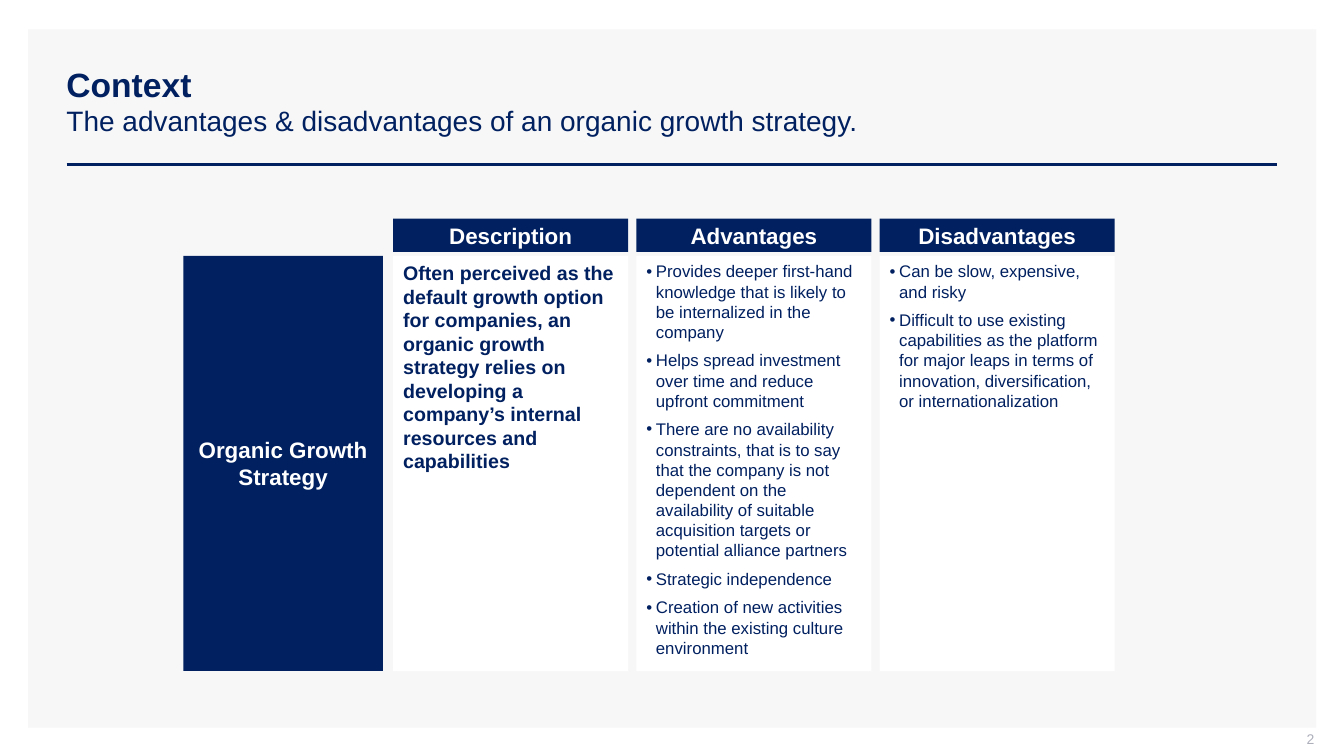
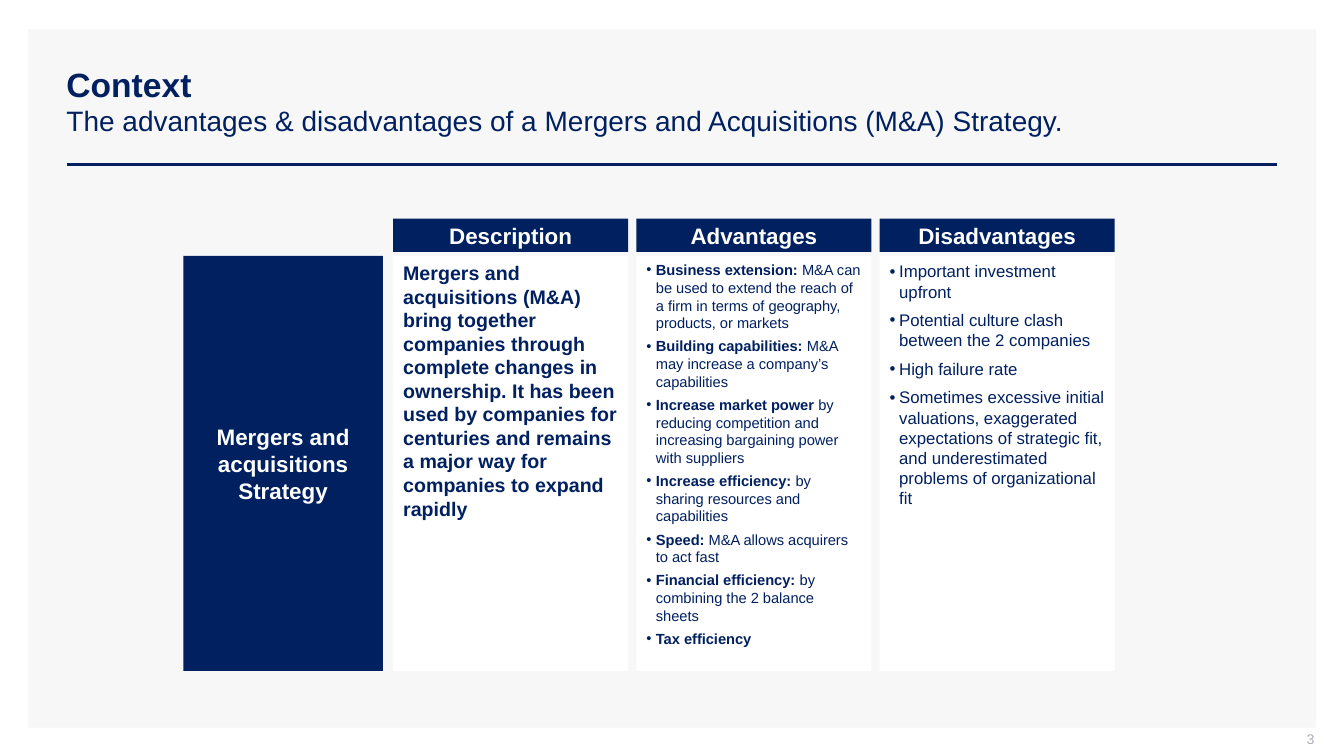
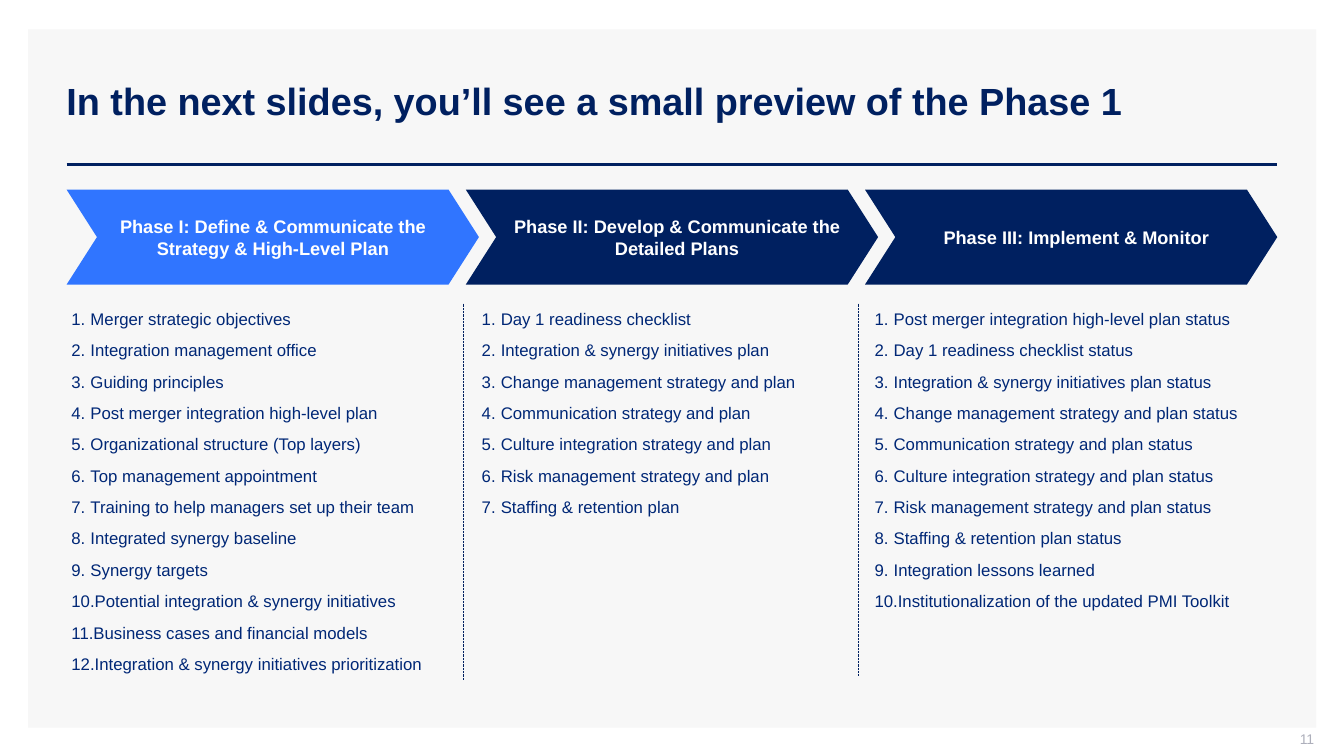
from dataclasses import dataclass

from lxml import etree
from pptx import Presentation
from pptx import util as u
from pptx.dml import color
from pptx.enum import dml, shapes, text
from pptx.oxml import ns

Cm, Pt = u.Cm, u.Pt
RGB = color.RGBColor.from_string


@dataclass(frozen=True)
class Theme:
    font: str = "Arial"
    navy: str = "002060"
    blue: str = "3075FF"
    list_blue: str = "002776"
    panel: str = "F7F7F7"
    white: str = "FFFFFF"
    grey: str = "ADAFBB"
    title: float = 24
    subtitle: float = 20
    long_title: float = 27
    heading: float = 16
    description: float = 14
    phase: float = 13
    body: float = 12
    dense: float = 10.5
    number: float = 10


THEME = Theme()

# Bullets are (bold lead, plain rest).
STRATEGIES = [
    {
        "number": "2",
        "subtitle": "The advantages & disadvantages of an organic growth strategy.",
        "label": "Organic Growth Strategy",
        "description": "Often perceived as the default growth option for companies, an organic "
                       "growth strategy relies on developing a company’s internal resources and "
                       "capabilities",
        "advantages": [
            ("", "Provides deeper first-hand knowledge that is likely to be internalized in the "
                 "company"),
            ("", "Helps spread investment over time and reduce upfront commitment"),
            ("", "There are no availability constraints, that is to say that the company is not "
                 "dependent on the availability of suitable acquisition targets or potential "
                 "alliance partners"),
            ("", "Strategic independence"),
            ("", "Creation of new activities within the existing culture environment"),
        ],
        "advantage_style": (THEME.body, 3),
        "disadvantages": [
            ("", "Can be slow, expensive, and risky"),
            ("", "Difficult to use existing capabilities as the platform for major leaps in terms "
                 "of innovation, diversification, or internationalization"),
        ],
    },
    {
        "number": "3",
        "subtitle": "The advantages & disadvantages of a Mergers and Acquisitions (M&A) Strategy.",
        "label": "Mergers and acquisitions Strategy",
        "description": "Mergers and acquisitions (M&A) bring together companies through complete "
                       "changes in ownership. It has been used by companies for centuries and "
                       "remains a major way for companies to expand rapidly",
        "advantages": [
            ("Business extension: ", "M&A can be used to extend the reach of a firm in terms of "
                                     "geography, products, or markets"),
            ("Building capabilities: ", "M&A may increase a company’s capabilities"),
            ("Increase market power ", "by reducing competition and increasing bargaining power "
                                       "with suppliers"),
            ("Increase efficiency: ", "by sharing resources and capabilities"),
            ("Speed: ", "M&A allows acquirers to act fast"),
            ("Financial efficiency: ", "by combining the 2 balance sheets"),
            ("Tax efficiency", ""),
        ],
        "advantage_style": (THEME.dense, 2),
        "disadvantages": [
            ("", "Important investment upfront"),
            ("", "Potential culture clash between the 2 companies"),
            ("", "High failure rate"),
            ("", "Sometimes excessive initial valuations, exaggerated expectations of strategic "
                 "fit, and underestimated problems of organizational fit"),
        ],
    },
]

PREVIEW_TITLE = "In the next slides, you’ll see a small preview of the Phase 1"
PHASES = [
    {
        "name": "Phase I: Define & Communicate the Strategy & High-Level Plan",
        "fill": THEME.blue, "insets": (0.2, 0.2), "list": (1.8, 9.88, 0),
        "steps": [
            "Merger strategic objectives",
            "Integration management office",
            "Guiding principles",
            "Post merger integration high-level plan",
            "Organizational structure (Top layers)",
            "Top management appointment",
            "Training to help managers set up their team",
            "Integrated synergy baseline",
            "Synergy targets",
            "Potential integration & synergy initiatives",
            "Business cases and financial models",
            "Integration & synergy initiatives prioritization",
        ],
    },
    {
        "name": "Phase II: Develop & Communicate the Detailed Plans",
        "fill": THEME.navy, "insets": (0.25, 0), "list": (11.89, 9.6, 0.25),
        "steps": [
            "Day 1 readiness checklist",
            "Integration & synergy initiatives plan",
            "Change management strategy and plan",
            "Communication strategy and plan",
            "Culture integration strategy and plan",
            "Risk management strategy and plan",
            "Staffing & retention plan",
        ],
    },
    {
        "name": "Phase III: Implement & Monitor",
        "fill": THEME.navy, "insets": (0.25, 0), "list": (21.79, 10.39, 0.25),
        "steps": [
            "Post merger integration high-level plan status",
            "Day 1 readiness checklist status",
            "Integration & synergy initiatives plan status",
            "Change management strategy and plan status",
            "Communication strategy and plan status",
            "Culture integration strategy and plan status",
            "Risk management strategy and plan status",
            "Staffing & retention plan status",
            "Integration lessons learned",
            "Institutionalization of the updated PMI Toolkit",
        ],
    },
]
DIVIDERS = [(11.68, 17.15), (21.64, 17.04)]  # x, bottom


def place(shape, left, top, width, height):
    shape.left, shape.top = Cm(left), Cm(top)
    shape.width, shape.height = Cm(width), Cm(height)


def format_run(run, size, colour, bold=False):
    run.font.name, run.font.size, run.font.bold = THEME.font, Pt(size), bold
    run.font.color.rgb = RGB(colour)


def set_insets(frame, left=0.25, top=0.13, right=0.25, bottom=0.13):
    frame.margin_left, frame.margin_top = Cm(left), Cm(top)
    frame.margin_right, frame.margin_bottom = Cm(right), Cm(bottom)


def add_block(slide, kind, box, fill, label="", size=THEME.heading):
    """Add a filled preset shape with a centred white bold label."""
    shape = slide.shapes.add_shape(kind, *map(Cm, box))
    shape.shadow.inherit = False
    shape.fill.solid()
    shape.fill.fore_color.rgb = RGB(fill)
    shape.line.fill.background()
    if label:
        frame = shape.text_frame
        frame.text, frame.word_wrap = label, True
        frame.vertical_anchor = text.MSO_ANCHOR.MIDDLE
        set_insets(frame)
        frame.paragraphs[0].alignment = text.PP_ALIGN.CENTER
        format_run(frame.paragraphs[0].runs[0], size, THEME.white, True)
    return shape


def add_line(slide, ends, width):
    line = slide.shapes.add_connector(shapes.MSO_CONNECTOR.STRAIGHT, *map(Cm, ends))
    line.line.color.rgb = RGB(THEME.navy)
    line.line.width = Pt(width)
    etree.SubElement(line.element.spPr, ns.qn("a:effectLst"))
    return line


def set_marker(paragraph, marker, indent):
    """Give the paragraph a bullet, a number or no marker, with a hanging indent."""
    properties = paragraph._p.get_or_add_pPr()
    properties.set("marL", str(Cm(indent)))
    properties.set("indent", str(-Cm(indent)))
    if marker == "buChar":
        etree.SubElement(properties, ns.qn("a:buFont"), typeface=THEME.font)
    attributes = {"buChar": {"char": "•"}, "buAutoNum": {"type": "arabicPeriod"}, "buNone": {}}
    etree.SubElement(properties, ns.qn(f"a:{marker}"), attributes[marker])


def fill_body(body, items, size, gap=0, marker="buNone", indent=0, colour=THEME.navy):
    frame = body.text_frame
    frame.word_wrap, frame.auto_size = True, text.MSO_AUTO_SIZE.NONE
    frame.vertical_anchor = text.MSO_ANCHOR.TOP
    set_insets(frame)
    for index, (lead, rest) in enumerate(items):
        paragraph = frame.add_paragraph() if index else frame.paragraphs[0]
        set_marker(paragraph, marker, indent)
        paragraph.alignment = text.PP_ALIGN.LEFT
        paragraph.space_before = Pt(gap if index else 0)
        paragraph.space_after = Pt(gap)
        for part, bold in ((lead, True), (rest, False)):
            if part:
                run = paragraph.add_run()
                run.text = part
                format_run(run, size, colour, bold)


def prepare_layout(presentation):
    """Set the master's title style and keep three body placeholders in the layout."""
    style = presentation.slide_master.element.xpath("p:txStyles/p:titleStyle/a:lvl1pPr")[0]
    style.set("algn", "l")
    style.find(ns.qn("a:defRPr")).set("sz", str(THEME.title * 100))
    layout = presentation.slide_layouts.get_by_name("Comparison")
    for placeholder in list(layout.placeholders):
        if placeholder.placeholder_format.idx == 4:
            layout.shapes.element.remove(placeholder.element)
    return layout


def add_master_parts(presentation, slide):
    """Draw the panel and title rule once and move them to the master."""
    panel = add_block(slide, shapes.MSO_SHAPE.RECTANGLE, (0.71, 0.74, 32.46, 17.6), THEME.panel)
    rule = add_line(slide, (1.68, 4.14, 32.18, 4.14), 2)
    for index, part in enumerate((panel, rule)):
        part.element.xpath(".//p:cNvPr")[0].set("id", str(100 + index))
        presentation.slide_master.shapes.element.insert(2 + index, part.element)


def add_slide(presentation, layout, number, title, sizes, title_width=30.76):
    """Add a slide with its title and number; return it with its three bodies."""
    slide = presentation.slides.add_slide(layout)
    heading = slide.shapes.title
    place(heading, 1.42, 1.02, title_width, 3.02)
    frame = heading.text_frame
    frame.text = title
    frame.auto_size = text.MSO_AUTO_SIZE.NONE
    frame.vertical_anchor = text.MSO_ANCHOR.MIDDLE
    paragraph = frame.paragraphs[0]
    paragraph.alignment = text.PP_ALIGN.LEFT
    for index, (run, size) in enumerate(zip(paragraph.runs, sizes)):
        format_run(run, size, THEME.navy, index == 0)

    box = slide.shapes.add_textbox(*map(Cm, (25.5, 18.42, 7.62, 0.53)))
    frame = box.text_frame
    frame.text, frame.word_wrap = number, True
    frame.vertical_anchor = text.MSO_ANCHOR.MIDDLE
    set_insets(frame, top=0, right=0)
    frame.paragraphs[0].alignment = text.PP_ALIGN.RIGHT
    format_run(frame.paragraphs[0].runs[0], THEME.number, THEME.grey)
    return slide, [slide.placeholders[index] for index in (1, 2, 3)]


def build_strategy(presentation, layout, strategy):
    title = "Context\v" + strategy["subtitle"]
    slide, bodies = add_slide(presentation, layout, strategy["number"], title,
                              (THEME.title, THEME.subtitle))
    rectangle = shapes.MSO_SHAPE.RECTANGLE
    top, height = 6.45, 10.46
    add_block(slide, rectangle, (4.62, top, 5.03, height), THEME.navy, strategy["label"])
    for column, (body, name) in enumerate(zip(bodies, ("Description", "Advantages",
                                                       "Disadvantages"))):
        left, width = 9.91 + 6.13 * column, 5.92
        add_block(slide, rectangle, (left, 5.51, width, 0.84), THEME.navy, name)
        place(body, left, top, width, height)
        body.fill.solid()
        body.fill.fore_color.rgb = RGB(THEME.white)
    description, advantages, disadvantages = bodies
    fill_body(description, [(strategy["description"], "")], THEME.description)
    fill_body(advantages, strategy["advantages"], *strategy["advantage_style"], "buChar", 0.24)
    fill_body(disadvantages, strategy["disadvantages"], THEME.body, 3, "buChar", 0.24)
    return slide


def build_preview(presentation, layout):
    slide, bodies = add_slide(presentation, layout, "11", PREVIEW_TITLE, (THEME.long_title,), 28.98)
    list_top = 7.65
    for column, (phase, body) in enumerate(zip(PHASES, bodies)):
        chevron = add_block(slide, shapes.MSO_SHAPE.CHEVRON,
                            (1.68 + 10.06 * column, 4.78, 10.39, 2.39),
                            phase["fill"], phase["name"], THEME.phase)
        chevron.adjustments[0] = 0.32
        inset_left, inset_right = phase["insets"]
        set_insets(chevron.text_frame, left=inset_left, right=inset_right)

        left, width, inset = phase["list"]
        steps = [("", step) for step in phase["steps"]]
        place(body, left, list_top, width, 0.8 * len(steps) - 0.05)
        fill_body(body, steps, THEME.body, 4, "buAutoNum", 0.48, THEME.list_blue)
        body.text_frame.margin_left = Cm(inset)
        body.text_frame.auto_size = text.MSO_AUTO_SIZE.SHAPE_TO_FIT_TEXT
    for x, bottom in DIVIDERS:
        divider = add_line(slide, (x, list_top, x, bottom), 0.5)
        divider.line.dash_style = dml.MSO_LINE.ROUND_DOT


def main():
    presentation = Presentation()
    presentation.slide_width, presentation.slide_height = Cm(33.87), Cm(19.05)
    layout = prepare_layout(presentation)
    slides = [build_strategy(presentation, layout, strategy) for strategy in STRATEGIES]
    add_master_parts(presentation, slides[0])
    build_preview(presentation, layout)
    presentation.save("out.pptx")


if __name__ == "__main__":
    main()
